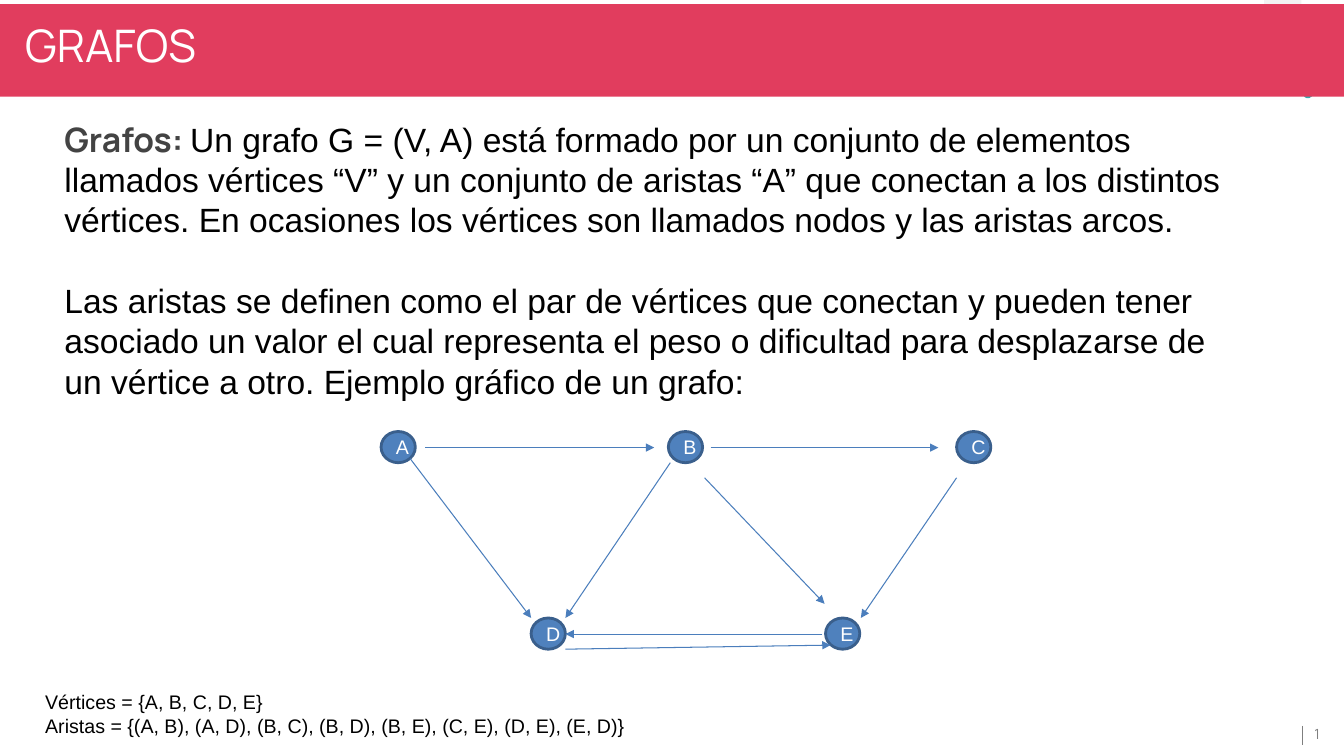
from lxml.etree import SubElement
from pptx import Presentation
from pptx.dml.color import RGBColor
from pptx.enum.shapes import MSO_CONNECTOR, MSO_SHAPE
from pptx.enum.text import MSO_ANCHOR, PP_ALIGN
from pptx.oxml import parse_xml
from pptx.oxml.ns import nsdecls, qn
from pptx.util import Pt

COLORS = {
    "banner": "E13D5E", "white": "FFFFFF", "black": "000000",
    "term": "434343", "vertex": "4F81BD", "outline": "3A5F8C",
    "edge": "4B7EBC", "footer": "7F7F7F", "tab": "F2F2F2", "teal": "32AAAF",
}
VERTEX_SIZE = (24.5, 22.3)
UPPER, LOWER = 308.2, 441.4
VERTICES = {
    "A": (272.2, UPPER), "B": (477.4, UPPER), "C": (683.3, UPPER),
    "D": (379.4, LOWER), "E": (589.7, LOWER),
}
EDGES = [
    ((303.8, 319.7), (467.3, 319.7)),
    ((507.6, 319.7), (670.3, 319.7)),
    ((683.3, 341.3), (614.9, LOWER)),
    ((587.5, 452.9), (403.9, 452.9)),
    ((293, 327.6), (379.4, LOWER)),
    ((478.8, 330.5), (403.9, LOWER)),
    ((503.3, 341.3), (589, 431.3)),
    ((403.9, 463.7), (593.3, 460.8)),
]
DEFINITION = (
    "Un grafo G = (V, A) está formado por un conjunto de elementos llamados "
    "vértices “V” y un conjunto de aristas “A” que conectan a los distintos "
    "vértices. En ocasiones los vértices son llamados nodos y las aristas arcos."
)
EDGE_MEANING = (
    "Las aristas se definen como el par de vértices que conectan y pueden tener "
    "asociado un valor el cual representa el peso o dificultad para desplazarse "
    "de un vértice a otro. Ejemplo gráfico de un grafo:"
)
SETS = [
    "Vértices = {A, B, C, D, E}",
    "Aristas = {(A, B), (A, D), (B, C), (B, D), (B, E), (C, E), (D, E), (E, D)}",
]


class GraphSlide:
    """Holds the style and the current slide, and draws each kind of element."""

    def __init__(self, deck):
        self.slide = deck.slides.add_slide(deck.slide_layouts[5])
        self.shapes = self.slide.shapes

    def color(self, name):
        return RGBColor.from_string(COLORS[name])

    def style(self, font, size, color, family="Arial", bold=False):
        font.size, font.name, font.bold = Pt(size), family, bold
        font.color.rgb = self.color(color)

    def title(self, text, left, top, width, height):
        banner = self.shapes.title
        banner.left, banner.top = Pt(left), Pt(top)
        banner.width, banner.height = Pt(width), Pt(height)
        banner.fill.solid()
        banner.fill.fore_color.rgb = self.color("banner")
        frame = banner.text_frame
        frame.text = text
        frame.vertical_anchor = MSO_ANCHOR.TOP
        frame.margin_left = Pt(18)
        frame.margin_top = Pt(9.4)
        heading = frame.paragraphs[0]
        heading.alignment = PP_ALIGN.LEFT
        self.style(heading.font, 32, "white", "Manrope")
        banner.element.getparent().append(banner.element)

    def shape(self, kind, left, top, width, height, fill, outline=None):
        shape = self.shapes.add_shape(kind, Pt(left), Pt(top), Pt(width), Pt(height))
        shape.shadow.inherit = False
        shape.fill.solid()
        shape.fill.fore_color.rgb = self.color(fill)
        if outline:
            shape.line.color.rgb = self.color(outline)
            shape.line.width = Pt(2)
        else:
            shape.line.fill.background()
        return shape

    def vertex(self, label, left, top):
        vertex = self.shape(MSO_SHAPE.OVAL, left, top, *VERTEX_SIZE, "vertex", "outline")
        vertex.text_frame.text = label
        vertex.text_frame.vertical_anchor = MSO_ANCHOR.MIDDLE
        name = vertex.text_frame.paragraphs[0]
        name.alignment = PP_ALIGN.CENTER
        self.style(name.font, 14, "white")

    def line(self, start, end, color, weight, arrow=False):
        line = self.shapes.add_connector(
            MSO_CONNECTOR.STRAIGHT, *(Pt(value) for value in start + end))
        line.line.color.rgb = self.color(color)
        line.line.width = Pt(weight)
        if arrow:
            SubElement(line.line._get_or_add_ln(), qn("a:tailEnd"), type="triangle")
        SubElement(line.element.spPr, qn("a:effectLst"))

    def text(self, paragraphs, left, top, width, height, size):
        box = self.shapes.add_textbox(Pt(left), Pt(top), Pt(width), Pt(height))
        frame = box.text_frame
        frame.word_wrap = True
        frame.text = "\n".join(paragraphs)
        for paragraph in frame.paragraphs:
            self.style(paragraph.font, size, "black")
        return frame

    def definition(self, term, paragraphs, left, top, width, height):
        frame = self.text([term, *paragraphs[1:]], left, top, width, height, 24)
        opening, meaning = frame.paragraphs
        self.style(opening.runs[0].font, 24, "term", "Manrope", True)
        opening.add_run().text = paragraphs[0]
        for paragraph in frame.paragraphs:
            paragraph.line_spacing = Pt(28.8)
        meaning.space_before = Pt(28.8)

    def page_number(self, number, left, top, width, height):
        frame = self.text([""], left, top, width, height, 10)
        frame.vertical_anchor = MSO_ANCHOR.MIDDLE
        frame.margin_left = frame.margin_right = Pt(2.9)
        frame.margin_top = frame.margin_bottom = Pt(2.9)
        paragraph = frame.paragraphs[0]
        self.style(paragraph.font, 10, "footer", "Manrope")
        paragraph._p.append(parse_xml(
            f'<a:fld {nsdecls("a")} id="{{B6F15528-21DE-4FAA-801E-634DDDAF4B2B}}" '
            f'type="slidenum"><a:rPr lang="es" sz="1000"><a:solidFill>'
            f'<a:srgbClr val="{COLORS["footer"]}"/></a:solidFill>'
            f'<a:latin typeface="Manrope"/></a:rPr><a:t>{number}</a:t></a:fld>'))


def main():
    deck = Presentation()
    deck.slide_width, deck.slide_height = Pt(960), Pt(540)
    page = GraphSlide(deck)
    page.shape(MSO_SHAPE.RECTANGLE, 903, 0, 26.5, 2.9, "tab")
    stripe = page.shape(MSO_SHAPE.ROUND_2_SAME_RECTANGLE, 943.9, 32.4, 6.5, 43.2, "teal")
    stripe.adjustments[0] = 0.5
    stripe.rotation = 225
    page.line((930.2, 518.4), (930.2, 532.1), "footer", 1)
    page.page_number(3, 936, 514.1, 24, 20.2)
    page.definition("Grafos: ", [DEFINITION, EDGE_MEANING], 38.9, 81.2, 841.7, 210)
    page.title("GRAFOS", 0, 2.9, 960, 66.2)
    for label, position in VERTICES.items():
        page.vertex(label, *position)
    for start, end in EDGES:
        page.line(start, end, "edge", 0.75, arrow=True)
    page.text(SETS, 25.2, 489.6, 479.5, 41, 14)
    deck.save("out.pptx")


if __name__ == "__main__":
    main()
